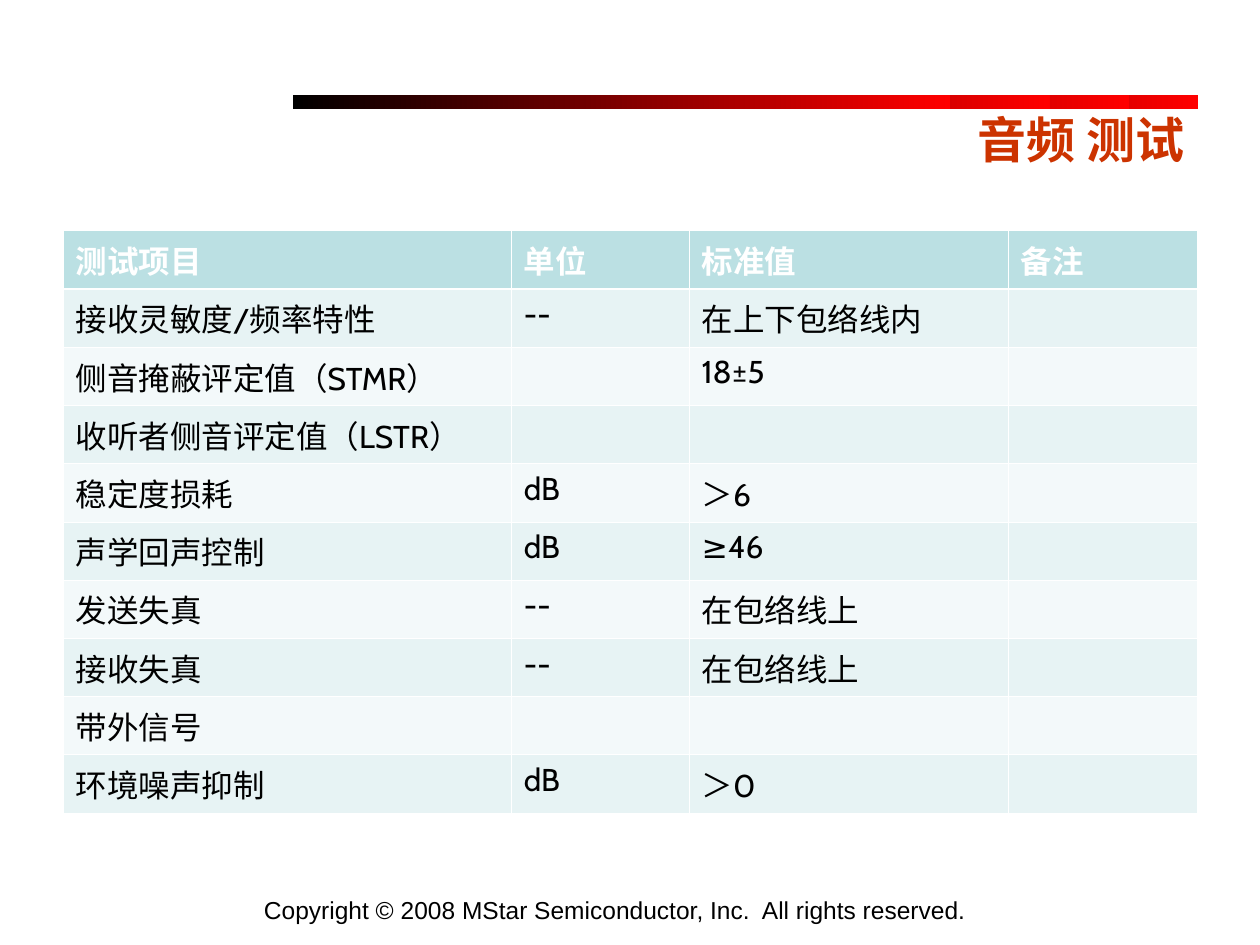
from lxml import etree
from pptx import Presentation
from pptx import util as u
from pptx.dml.color import RGBColor
from pptx.enum import shapes, text
from pptx.oxml import ns

COLORS = {
    "title": "CC3300", "bar_start": "000000", "bar_end": "FF0000",
    "header": "BBE0E3", "odd": "E7F3F4", "even": "F3F9FA",
    "white": "FFFFFF", "black": "000000",
}
BAR_LEFTS = (10.9, 9.5, 7.9, 5.9)
COL_WIDTHS = (9.04, 3.58, 6.43, 3.81)
ROWS = (
    ("测试项目", "单位", "标准值", "备注"),
    ("接收灵敏度/频率特性", "--", "在上下包络线内", ""),
    ("侧音掩蔽评定值（STMR）", "", "18±5", ""),
    ("收听者侧音评定值（LSTR）", "", "", ""),
    ("稳定度损耗", "dB", "＞6", ""),
    ("声学回声控制", "dB", "≥46", ""),
    ("发送失真", "--", "在包络线上", ""),
    ("接收失真", "--", "在包络线上", ""),
    ("带外信号", "", "", ""),
    ("环境噪声抑制", "dB", "＞0", ""),
)


def rgb(key):
    """Return the named colour."""
    return RGBColor.from_string(COLORS[key])


def style(p, font, size, color, bold=False):
    """Format every run of a paragraph."""
    for r in p.runs:
        r.font.name, r.font.size, r.font.bold = font, u.Pt(size), bold
        r.font.color.rgb = rgb(color)


def place(sp, box):
    """Move a shape to a box of left, top, width and height in cm."""
    sp.left, sp.top, sp.width, sp.height = map(u.Cm, box)


def add_bars(s, top, width, height):
    """Add the overlapping gradient bars above the title."""
    group = s.shapes.add_group_shape()
    for left in BAR_LEFTS:
        sp = group.shapes.add_shape(shapes.MSO_SHAPE.RECTANGLE,
                                    *map(u.Cm, (left, top, width, height)))
        sp.shadow.inherit = False
        sp.line.fill.background()
        sp.fill.gradient()
        sp.fill.gradient_angle = 0
        for stop, key, pos in zip(sp.fill.gradient_stops, ("bar_start", "bar_end"), (0, 1)):
            stop.color.rgb = rgb(key)
            stop.position = pos


def add_title(s, box):
    """Fill and format the title placeholder."""
    sp = s.shapes.title
    place(sp, box)
    tf = sp.text_frame
    tf.text = "音频 测试"
    tf.auto_size = text.MSO_AUTO_SIZE.NONE
    tf.vertical_anchor = text.MSO_ANCHOR.MIDDLE
    p = tf.paragraphs[0]
    p.alignment = text.PP_ALIGN.RIGHT
    style(p, "Cabin", 28, "title", True)


def set_borders(cell, widths):
    """Draw white cell borders from a dict of side to width in points."""
    tc_pr = cell._tc.get_or_add_tcPr()
    for side, width in widths.items():
        ln = etree.SubElement(tc_pr, ns.qn(f"a:ln{side}"), w=str(u.Pt(width)))
        fill = etree.SubElement(ln, ns.qn("a:solidFill"))
        etree.SubElement(fill, ns.qn("a:srgbClr"), val=COLORS["white"])


def add_test_table(s, box):
    """Add the table of audio tests with its banded rows."""
    table = s.shapes.add_table(len(ROWS), len(COL_WIDTHS), *map(u.Cm, box)).table
    for col, width in zip(table.columns, COL_WIDTHS):
        col.width = u.Cm(width)
    for i, values in enumerate(ROWS):
        fill = "header" if i == 0 else "odd" if i % 2 else "even"
        widths = {"L": 0.45, "R": 0.45, "T": 1.5 if i == 1 else 0.45,
                  "B": 1.5 if i == 0 else 0.45}
        for j, value in enumerate(values):
            cell = table.cell(i, j)
            set_borders(cell, widths)
            cell.fill.solid()
            cell.fill.fore_color.rgb = rgb(fill)
            cell.text_frame.text = value
            style(cell.text_frame.paragraphs[0], "Cabin", 18,
                  "black" if i else "white", i == 0)


def add_footer(s, box):
    """Add the centred copyright line."""
    tf = s.shapes.add_textbox(*map(u.Cm, box)).text_frame
    tf.word_wrap = True
    tf.vertical_anchor = text.MSO_ANCHOR.BOTTOM
    tf.margin_bottom = 0
    tf.text = "Copyright © 2008 MStar Semiconductor, Inc.  All rights reserved."
    p = tf.paragraphs[0]
    p.alignment = text.PP_ALIGN.CENTER
    style(p, "Arial", 14, "black")


def main():
    """Build and save the slide."""
    prs = Presentation()
    prs.slide_width, prs.slide_height = u.Cm(25.4), u.Cm(19.05)
    s = prs.slides.add_slide(prs.slide_layouts[5])
    add_bars(s, 1.92, 13.26, 0.28)
    add_title(s, (1.27, 2.1, 22.86, 1.4))
    add_test_table(s, (1.27, 4.65, 22.86, 10.3))
    add_footer(s, (2.9, 17.32, 19, 1.32))
    prs.save("out.pptx")


if __name__ == "__main__":
    main()
